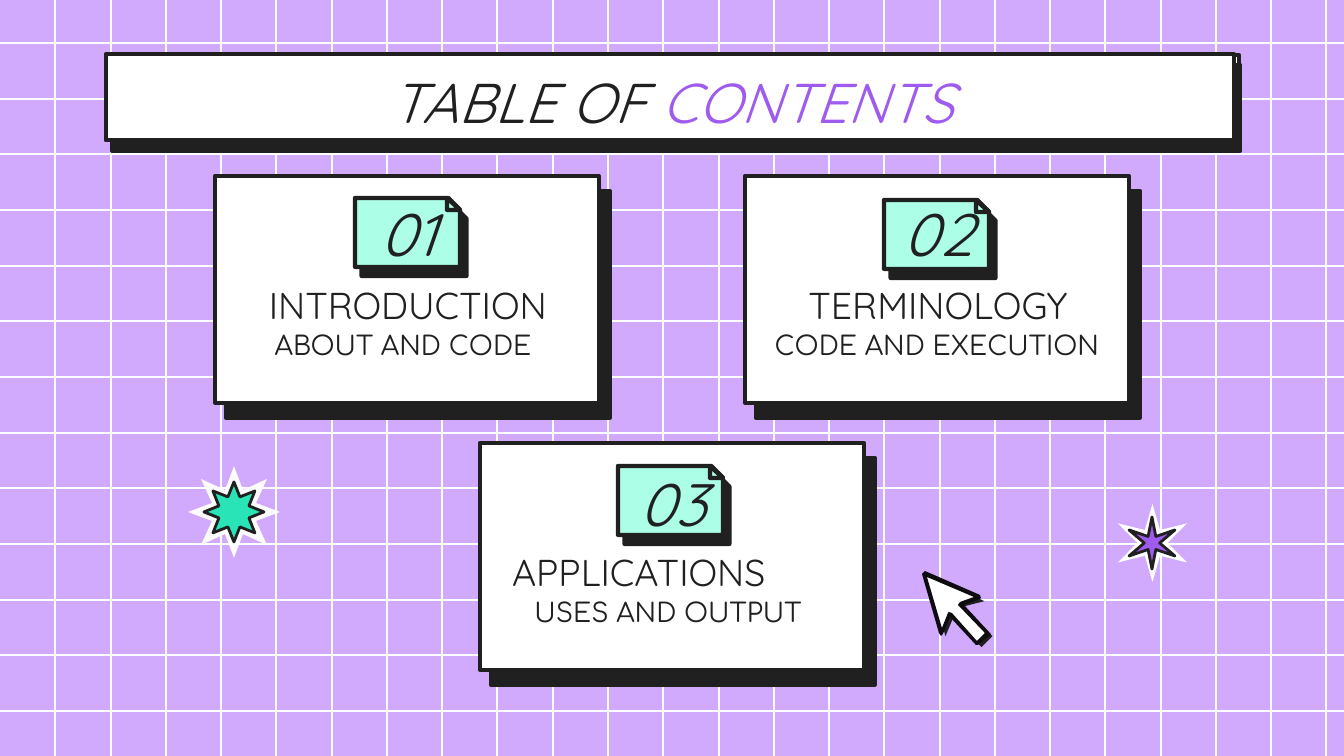
from dataclasses import dataclass
from math import cos, pi, sin
from typing import NamedTuple, Optional

from lxml.etree import SubElement
from pptx import Presentation
from pptx.dml.color import RGBColor
from pptx.enum.shapes import MSO_CONNECTOR, MSO_SHAPE
from pptx.enum.text import MSO_ANCHOR, MSO_AUTO_SIZE, PP_ALIGN
from pptx.oxml.ns import qn
from pptx.util import Emu, Pt

SCALE = 914400 / 134.4  # EMU in one px
WIDTH, HEIGHT = 1344, 756


class Style(NamedTuple):
    font: str
    size: int
    italic: bool = False


class Shadow(NamedTuple):
    distance: float  # points
    angle: int  # degrees


class Box(NamedTuple):
    x: int
    y: int
    w: int
    h: int


class Card(NamedTuple):
    x: int
    y: int
    number: str
    heading: str
    detail: str
    badge_x: int
    badge_y: int
    number_y: int
    align: PP_ALIGN = PP_ALIGN.CENTER


@dataclass(frozen=True)
class Theme:
    back: str = "D1AAFD"
    white: str = "FFFFFF"
    ink: str = "202020"
    mint: str = "ADFEE7"
    green: str = "28E4B7"
    purple: str = "9E5BEE"
    star_halo: str = "FCFCFC"
    cursor_edge: str = "0F0C11"
    grid_line: float = 0.75
    star_line: float = 1.5
    edge: float = 2.25
    title: Style = Style("Quicksand", 30, True)
    number: Style = Style("Quicksand", 32, True)
    heading: Style = Style("Quicksand", 20)
    detail: Style = Style("Comfortaa", 14)


T = Theme()

CARDS = [
    Card(215, 176, "01", "INTRODUCTION", "ABOUT AND CODE ", 140, 22, 24),
    Card(745, 176, "02", "TERMINOLOGY", "CODE AND EXECUTION", 139, 24, 24),
    Card(480, 443, "03", "APPLICATIONS", "USES AND OUTPUT ", 138, 23, 27, PP_ALIGN.LEFT),
]

CURSOR = [(925, 573), (941, 633), (949, 614), (977, 644), (988, 633), (960, 603), (980, 598)]
CURSOR_INNER = [(927, 577), (974, 597), (960, 602), (958, 605), (985, 633), (977, 641),
                (952, 613), (949, 612), (948, 613), (942, 628)]
CURSOR_OUTER = [(925, 571), (922, 574), (939, 633), (941, 636), (943, 634), (950, 617),
                (976, 645), (978, 645), (989, 636), (991, 634), (989, 632), (964, 605),
                (980, 599), (981, 598), (980, 595)]


def px(n: float) -> Emu:
    return Emu(round(n * SCALE))


def rgb(value: str) -> RGBColor:
    return RGBColor.from_string(value)


def paint(sp, fill: str, width: float = 0, shadow: Optional[Shadow] = None) -> None:
    sp.fill.solid()
    sp.fill.fore_color.rgb = rgb(fill)
    if width:
        sp.line.color.rgb = rgb(T.ink)
        sp.line.width = Pt(width)
        SubElement(sp.element.spPr.find(qn("a:ln")), qn("a:round"))
    else:
        sp.line.fill.background()
    sp.shadow.inherit = False
    if shadow:
        effects = sp.element.spPr.find(qn("a:effectLst"))
        outer = SubElement(effects, qn("a:outerShdw"), blurRad="0", dist=str(Pt(shadow.distance)),
                           dir=str(shadow.angle * 60000), algn="bl", rotWithShape="0")
        SubElement(outer, qn("a:srgbClr"), val=T.ink)


def add_preset(s, kind: MSO_SHAPE, box: Box, fill: str, width: float = 0,
               shadow: Optional[Shadow] = None, adj: Optional[float] = None) -> None:
    sp = s.shapes.add_shape(kind, *map(px, box))
    if adj is not None:
        sp.adjustments[0] = adj
    paint(sp, fill, width, shadow)


def add_outline(s, contours: list, fill: str, width: float = 0,
                shadow: Optional[Shadow] = None) -> None:
    first, *others = contours
    builder = s.shapes.build_freeform(*first[0], scale=SCALE)
    builder.add_line_segments(first[1:], close=True)
    for points in others:
        builder.move_to(*points[0])
        builder.add_line_segments(points[1:], close=True)
    paint(builder.convert_to_shape(), fill, width, shadow)


def star_points(cx: int, cy: int, outer: int, inner: int, tips: int) -> list:
    radii = (outer, inner)
    return [(round(cx + radii[i % 2] * sin(i * pi / tips)),
             round(cy - radii[i % 2] * cos(i * pi / tips))) for i in range(2 * tips)]


def write(sp, box: Box, runs: list, style: Style, align: PP_ALIGN = PP_ALIGN.CENTER,
          anchor: MSO_ANCHOR = MSO_ANCHOR.TOP) -> None:
    sp.left, sp.top, sp.width, sp.height = map(px, box)
    tf = sp.text_frame
    tf.word_wrap = True
    tf.auto_size = MSO_AUTO_SIZE.NONE
    tf.vertical_anchor = anchor
    tf.margin_left = tf.margin_right = tf.margin_top = tf.margin_bottom = px(13)
    p = tf.paragraphs[0]
    p.alignment = align
    for text, color in runs:
        r = p.add_run()
        r.text = text
        r.font.name = style.font
        r.font.size = Pt(style.size)
        r.font.italic = style.italic
        r.font.color.rgb = rgb(color)


def add_text(s, box: Box, text: str, style: Style, **layout) -> None:
    write(s.shapes.add_textbox(*map(px, box)), box, [(text, T.ink)], style, **layout)


def add_grid_line(s, x1: int, y1: int, x2: int, y2: int) -> None:
    c = s.shapes.add_connector(MSO_CONNECTOR.STRAIGHT, px(x1), px(y1), px(x2), px(y2))
    c.line.color.rgb = rgb(T.white)
    c.line.width = Pt(T.grid_line)
    SubElement(c.element.spPr, qn("a:effectLst"))


def add_card(s, card: Card) -> None:
    x, y = card.x, card.y
    add_preset(s, MSO_SHAPE.RECTANGLE, Box(x, y, 384, 227), T.white, T.edge, Shadow(9.8, 54))
    # Number badge with a folded corner
    bx, by = x + card.badge_x, y + card.badge_y
    add_preset(s, MSO_SHAPE.SNIP_1_RECTANGLE, Box(bx, by, 105, 69), T.mint, T.edge,
               Shadow(6, 54), 0.167)
    add_preset(s, MSO_SHAPE.RIGHT_TRIANGLE, Box(bx + 92, by, 13, 12), T.mint, T.edge)
    add_text(s, Box(x + 134, y + card.number_y, 117, 66), card.number, T.number,
             anchor=MSO_ANCHOR.MIDDLE)
    add_text(s, Box(x + 19, y + 93, 348, 46), card.heading, T.heading, align=card.align)
    add_text(s, Box(x, y + 140, 384, 71), card.detail, T.detail)


def main() -> None:
    prs = Presentation()
    prs.slide_width, prs.slide_height = px(WIDTH), px(HEIGHT)
    s = prs.slides.add_slide(prs.slide_layouts[5])
    s.background.fill.solid()
    s.background.fill.fore_color.rgb = rgb(T.back)

    # Background grid
    for i in range(13):
        y = round(43 + i * 55.66)
        add_grid_line(s, 0, y, WIDTH, y)
    for i in range(1, 25):
        x = round(i * 55.27)
        add_grid_line(s, x, 0, x, HEIGHT)

    # Title bar, with the title raised above it
    add_preset(s, MSO_SHAPE.RECTANGLE, Box(106, 55, 1133, 85), T.white, T.edge)
    add_preset(s, MSO_SHAPE.RECTANGLE, Box(106, 54, 1128, 86), T.white, T.edge, Shadow(6.8, 60))
    title = s.shapes.title
    s.shapes.element.append(title.element)
    write(title, Box(188, 54, 968, 85), [("TABLE OF ", T.ink), ("CONTENTS", T.purple)], T.title)

    # Contents cards
    for card in CARDS:
        add_card(s, card)

    # Mouse pointer
    add_outline(s, [CURSOR], T.white, shadow=Shadow(3, 36))
    add_outline(s, [CURSOR_INNER, CURSOR_OUTER], T.cursor_edge)

    # Stars
    add_preset(s, MSO_SHAPE.STAR_6_POINT, Box(1118, 504, 69, 78), T.white, adj=0.191)
    add_preset(s, MSO_SHAPE.STAR_6_POINT, Box(1129, 517, 46, 52), T.purple, T.star_line, adj=0.145)
    add_outline(s, [star_points(234, 512, 46, 24, 8)], T.star_halo)
    add_outline(s, [star_points(234, 512, 30, 16, 8)], T.green, T.star_line)

    prs.save("out.pptx")


if __name__ == "__main__":
    main()
